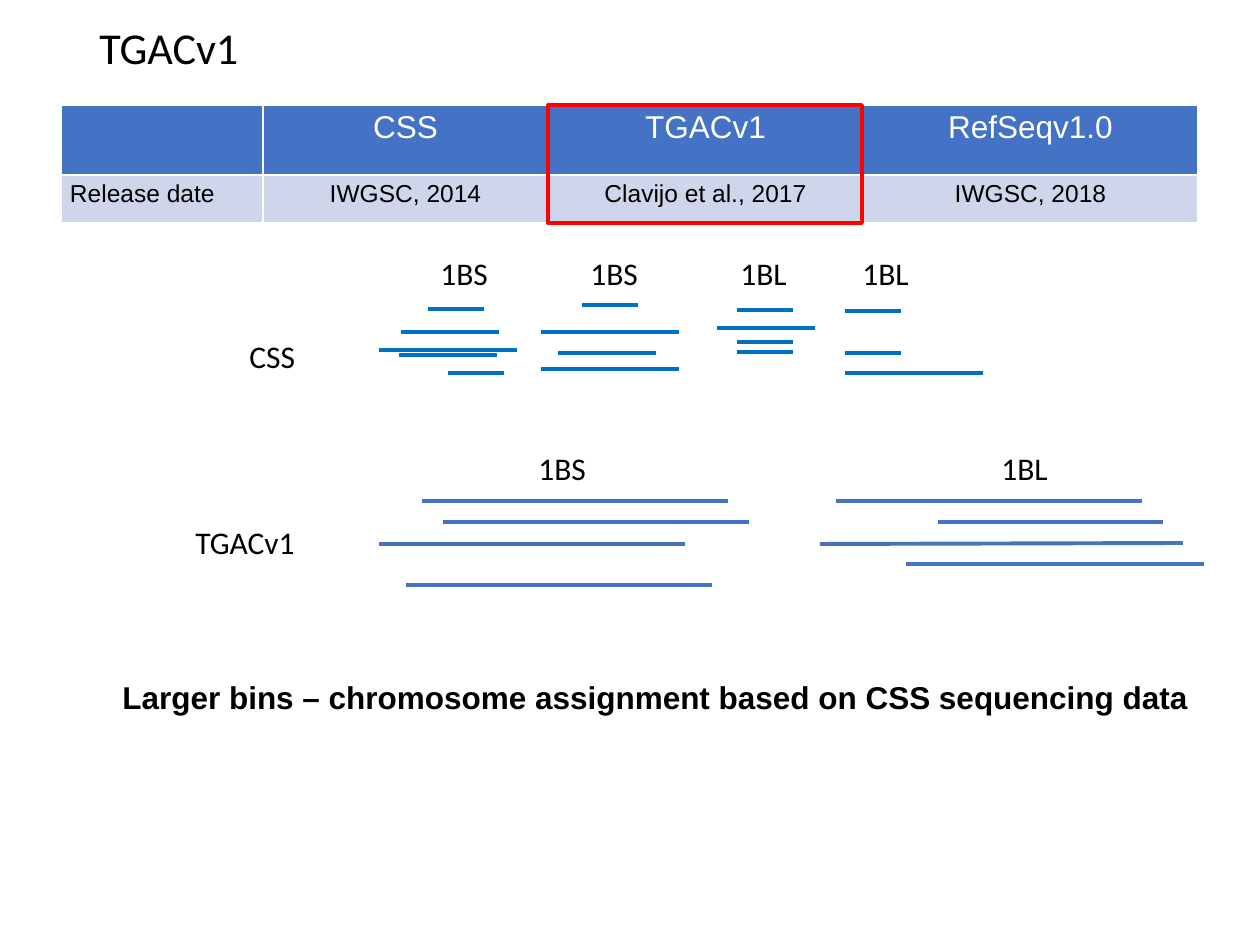
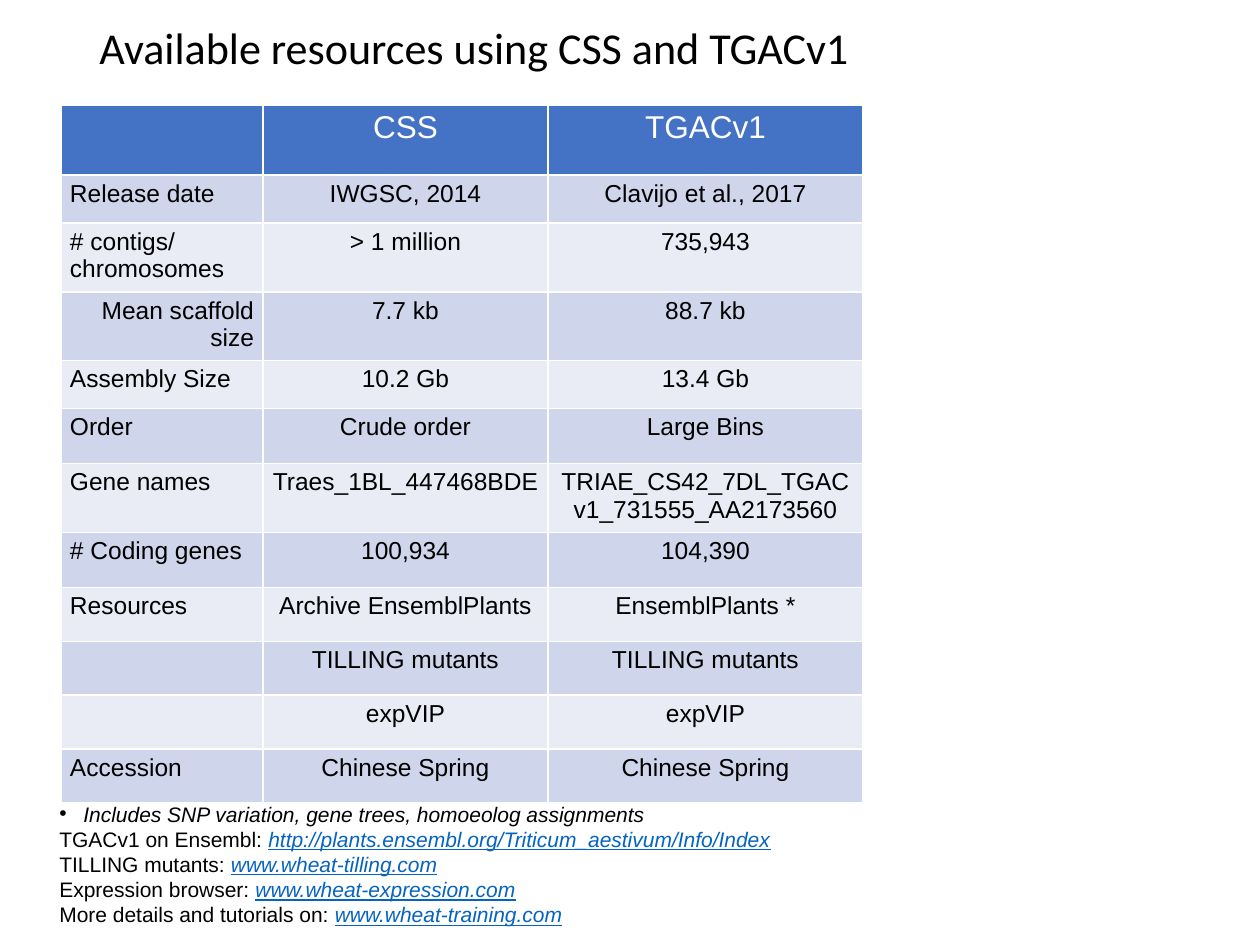
"""Builds two slides on the CSS and TGACv1 wheat assemblies."""
from lxml import etree
from pptx import Presentation
from pptx import util as u
from pptx.dml.color import RGBColor
from pptx.enum import shapes, text
from pptx.oxml import ns

PX = 914400 / 126
BLACK = RGBColor(0x00, 0x00, 0x00)
WHITE = RGBColor(0xFF, 0xFF, 0xFF)
RED = RGBColor(0xFF, 0x00, 0x00)
BLUE = RGBColor(0x44, 0x72, 0xC4)
DEEP_BLUE = RGBColor(0x00, 0x70, 0xC0)
LINK_BLUE = RGBColor(0x05, 0x63, 0xC1)
BANDS = (RGBColor(0xE9, 0xEB, 0xF5), RGBColor(0xCF, 0xD5, 0xEA))

LEFT, CENTER, RIGHT = text.PP_ALIGN.LEFT, text.PP_ALIGN.CENTER, text.PP_ALIGN.RIGHT
TITLE = dict(name="Calibri", size=u.Pt(25.2), color=BLACK)
LABEL = dict(name="Calibri", size=u.Pt(18), color=BLACK)
CLAIM = dict(name="Arial", size=u.Pt(18), color=BLACK, bold=True)
HEAD = dict(name="Arial", size=u.Pt(18), color=WHITE, bold=False)
BODY = dict(name="Arial", size=u.Pt(14), color=BLACK, bold=False)
NOTE = dict(name="Arial", size=u.Pt(12), color=BLACK)
ASIDE = NOTE | dict(italic=True)
LINK = ASIDE | dict(color=LINK_BLUE, underline=True)

TABLE_X, TABLE_Y = 61, 105
NAME_W, CSS_W, TGAC_W, REFSEQ_W = 202, 285, 315, 335
TGAC_X = TABLE_X + NAME_W + CSS_W
HEAD_H, DATE_H = 70, 48

SHORT, MEDIUM, LONG = 56, 98, 138
CSS_BINS = [
    ("1BS", 428, 248, [(428, 309, SHORT), (401, 332, MEDIUM), (379, 350, LONG),
                       (399, 355, MEDIUM), (448, 373, SHORT)]),
    ("1BS", 578, 248, [(582, 305, SHORT), (541, 332, LONG), (558, 353, MEDIUM),
                       (541, 369, LONG)]),
    ("1BL", 728, 248, [(737, 310, SHORT), (717, 328, MEDIUM), (737, 342, SHORT),
                       (737, 352, SHORT)]),
    ("1BL", 850, 248, [(845, 311, SHORT), (845, 353, SHORT), (845, 373, LONG)]),
]
SCAFFOLD = 306
TGAC_BINS = [
    ("1BS", 526, 443, [(422, 501, SCAFFOLD), (443, 522, SCAFFOLD),
                       (379, 544, SCAFFOLD), (406, 585, SCAFFOLD)]),
    ("1BL", 989, 443, [(836, 501, SCAFFOLD), (938, 522, 225),
                       (820, 544, 363, -1), (906, 564, 298)]),
]

RESOURCES = [
    (HEAD_H, ["", "CSS", "TGACv1"]),
    (DATE_H, ["Release date", "IWGSC, 2014", "Clavijo et al., 2017"]),
    (65, ["# contigs/ chromosomes", "> 1 million", "735,943"]),
    (64, ["Mean scaffold size", "7.7 kb", "88.7 kb"]),
    (48, ["Assembly Size", "10.2 Gb", "13.4 Gb"]),
    (55, ["Order", "Crude order", "Large Bins"]),
    (64, ["Gene names", "Traes_1BL_447468BDE", "TRIAE_CS42_7DL_TGACv1_731555_AA2173560"]),
    (55, ["# Coding genes", "100,934", "104,390"]),
    (54, ["Resources", "Archive EnsemblPlants", "EnsemblPlants *"]),
    (54, ["", "TILLING mutants", "TILLING mutants"]),
    (54, ["", "expVIP", "expVIP"]),
    (54, ["Accession", "Chinese Spring", "Chinese Spring"]),
]
LINKS = [
    ("TGACv1 on Ensembl: ", "http://plants.ensembl.org/Triticum_aestivum/Info/Index"),
    ("TILLING mutants: ", "www.wheat-tilling.com"),
    ("Expression browser: ", "www.wheat-expression.com"),
    ("More details and tutorials on: ", "www.wheat-training.com"),
]


def emu(px):
    return u.Emu(round(px * PX))


class Deck:
    """Holds the presentation, its current slide and the shared style."""

    def __init__(self):
        self.prs = Presentation()
        self.prs.slide_width, self.prs.slide_height = emu(1260), emu(945)

    def slide(self, title):
        self.s = self.prs.slides.add_slide(self.prs.slide_layouts[6])
        tf = self.box(87, 20, 1086, 60, [[(title, TITLE)]], wrap=True)
        tf.vertical_anchor = text.MSO_ANCHOR.MIDDLE
        tf.paragraphs[0].line_spacing = 0.9

    def run(self, p, words, style):
        r = p.add_run()
        r.text = words
        for key, value in style.items():
            if key == "color":
                r.font.color.rgb = value
            else:
                setattr(r.font, key, value)

    def box(self, x, y, w, h, lines, wrap=False):
        tf = self.s.shapes.add_textbox(*map(emu, (x, y, w, h))).text_frame
        tf.word_wrap = wrap
        if not wrap:
            tf.auto_size = text.MSO_AUTO_SIZE.SHAPE_TO_FIT_TEXT
        for i, runs in enumerate(lines):
            p = tf.add_paragraph() if i else tf.paragraphs[0]
            for words, style in runs:
                self.run(p, words, style)
        return tf

    def label(self, words, x, y, w=73, style=LABEL):
        self.box(x, y, w, 50, [[(words, style)]])

    def bullet(self, p, indent):
        pr = p._p.get_or_add_pPr()
        pr.set("marL", str(emu(indent)))
        pr.set("indent", str(-emu(indent)))
        etree.SubElement(pr, ns.qn("a:buFont"), typeface="Arial")
        etree.SubElement(pr, ns.qn("a:buChar"), char="•")

    def line(self, x, y, length, color, rise=0):
        sp = self.s.shapes.add_connector(
            shapes.MSO_CONNECTOR.STRAIGHT, *map(emu, (x, y, x + length, y + rise)))
        sp.line.color.rgb = color
        sp.line.width = u.Pt(2.25)
        etree.SubElement(sp._element.spPr, ns.qn("a:effectLst"))

    def bins(self, groups, color):
        for name, x, y, contigs in groups:
            self.label(name, x, y)
            for left, top, length, *rise in contigs:
                self.line(left, top, length, color, *rise)

    def frame(self, x, y, w, h):
        sp = self.s.shapes.add_shape(shapes.MSO_SHAPE.RECTANGLE, *map(emu, (x, y, w, h)))
        sp.shadow.inherit = False
        sp.fill.background()
        sp.line.color.rgb = RED
        sp.line.width = u.Pt(2.25)

    def borders(self, cell):
        pr = cell._tc.get_or_add_tcPr()
        for i, side in enumerate(("lnL", "lnR", "lnT", "lnB")):
            ln = etree.Element(ns.qn(f"a:{side}"), w=str(u.Pt(1)))
            fill = etree.SubElement(ln, ns.qn("a:solidFill"))
            etree.SubElement(fill, ns.qn("a:srgbClr"), val=str(WHITE))
            pr.insert(i, ln)

    def table(self, x, y, widths, rows, named=True):
        heights = [h for h, _ in rows]
        size = map(emu, (x, y, sum(widths), sum(heights)))
        tbl = self.s.shapes.add_table(len(rows), len(widths), *size).table
        for column, w in zip(tbl.columns, widths):
            column.width = emu(w)
        for i, (h, values) in enumerate(rows):
            tbl.rows[i].height = emu(h)
            for j, words in enumerate(values):
                cell = tbl.cell(i, j)
                cell.margin_left = cell.margin_right = emu(9)
                cell.margin_top = cell.margin_bottom = emu(5)
                cell.fill.solid()
                cell.fill.fore_color.rgb = BANDS[i % 2] if i else BLUE
                self.borders(cell)
                p = cell.text_frame.paragraphs[0]
                p.alignment = LEFT if named and j == 0 else CENTER
                if words:
                    self.run(p, words, BODY if i else HEAD)
        return tbl


def assembly_slide(deck):
    deck.slide("TGACv1")
    deck.table(TABLE_X, TABLE_Y, [NAME_W, CSS_W],
               [(h, values[:2]) for h, values in RESOURCES[:2]])
    deck.table(TGAC_X, TABLE_Y, [TGAC_W, REFSEQ_W],
               [(HEAD_H, ["TGACv1", "RefSeqv1.0"]),
                (DATE_H, ["Clavijo et al., 2017", "IWGSC, 2018"])], named=False)
    deck.frame(TGAC_X, TABLE_Y, TGAC_W - 1, HEAD_H + DATE_H)
    deck.label("CSS", 237, 331)
    deck.bins(CSS_BINS, DEEP_BLUE)
    deck.label("TGACv1", 183, 517, 126)
    deck.bins(TGAC_BINS, BLUE)
    deck.label("Larger bins – chromosome assignment based on CSS sequencing data",
               110, 672, 1101, CLAIM)


def resources_slide(deck):
    deck.slide("Available resources using CSS and TGACv1")
    tbl = deck.table(TABLE_X, TABLE_Y, [NAME_W, CSS_W, TGAC_W], RESOURCES)
    tbl.cell(3, 0).text_frame.paragraphs[0].alignment = RIGHT
    notes = [[("Includes SNP variation, gene trees, homoeolog assignments", ASIDE)]]
    notes += [[(lead, NOTE), (address, LINK)] for lead, address in LINKS]
    tf = deck.box(47, 795, 748, 165, notes)
    deck.bullet(tf.paragraphs[0], 24)


def main():
    deck = Deck()
    assembly_slide(deck)
    resources_slide(deck)
    deck.prs.save("out.pptx")


if __name__ == "__main__":
    main()
